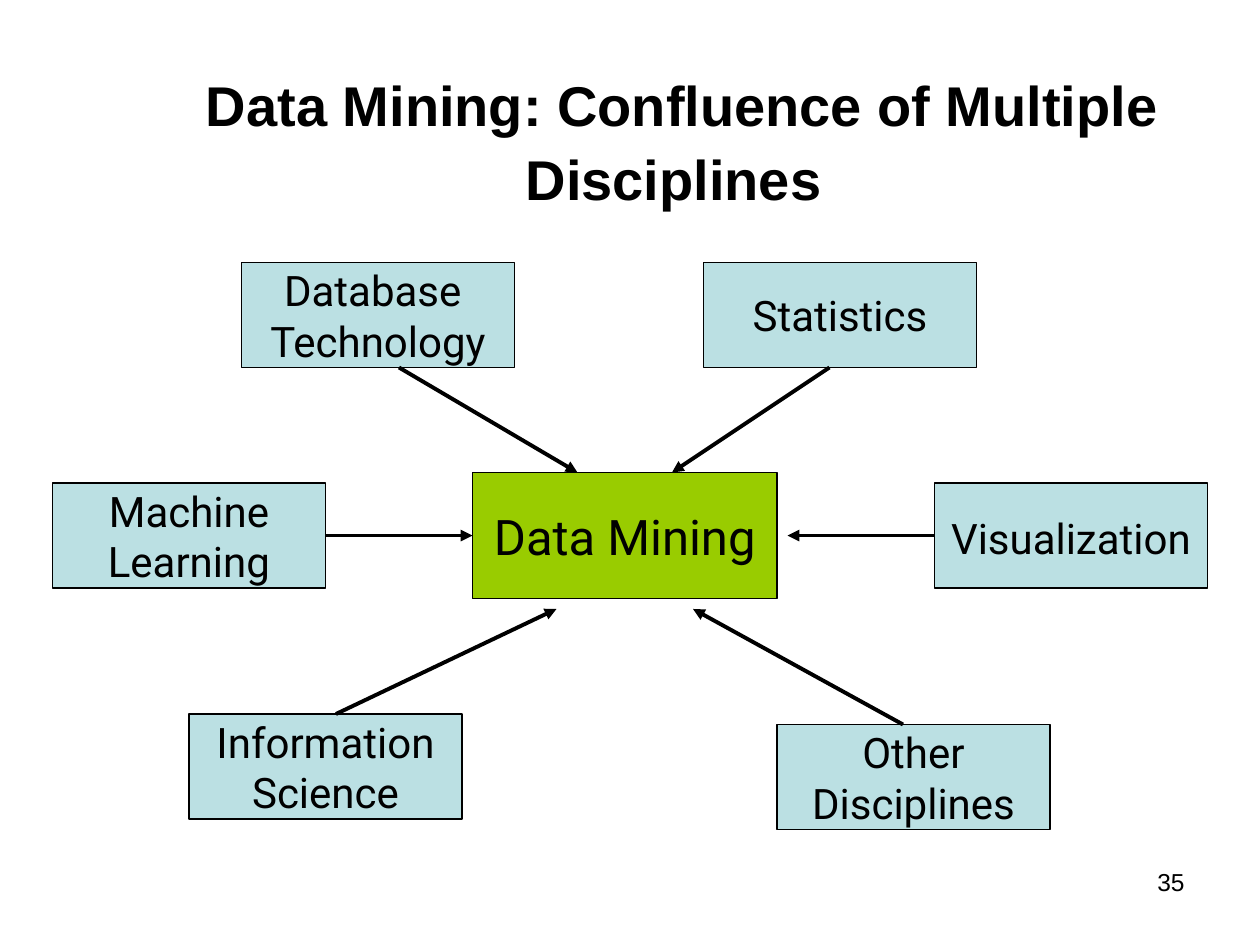
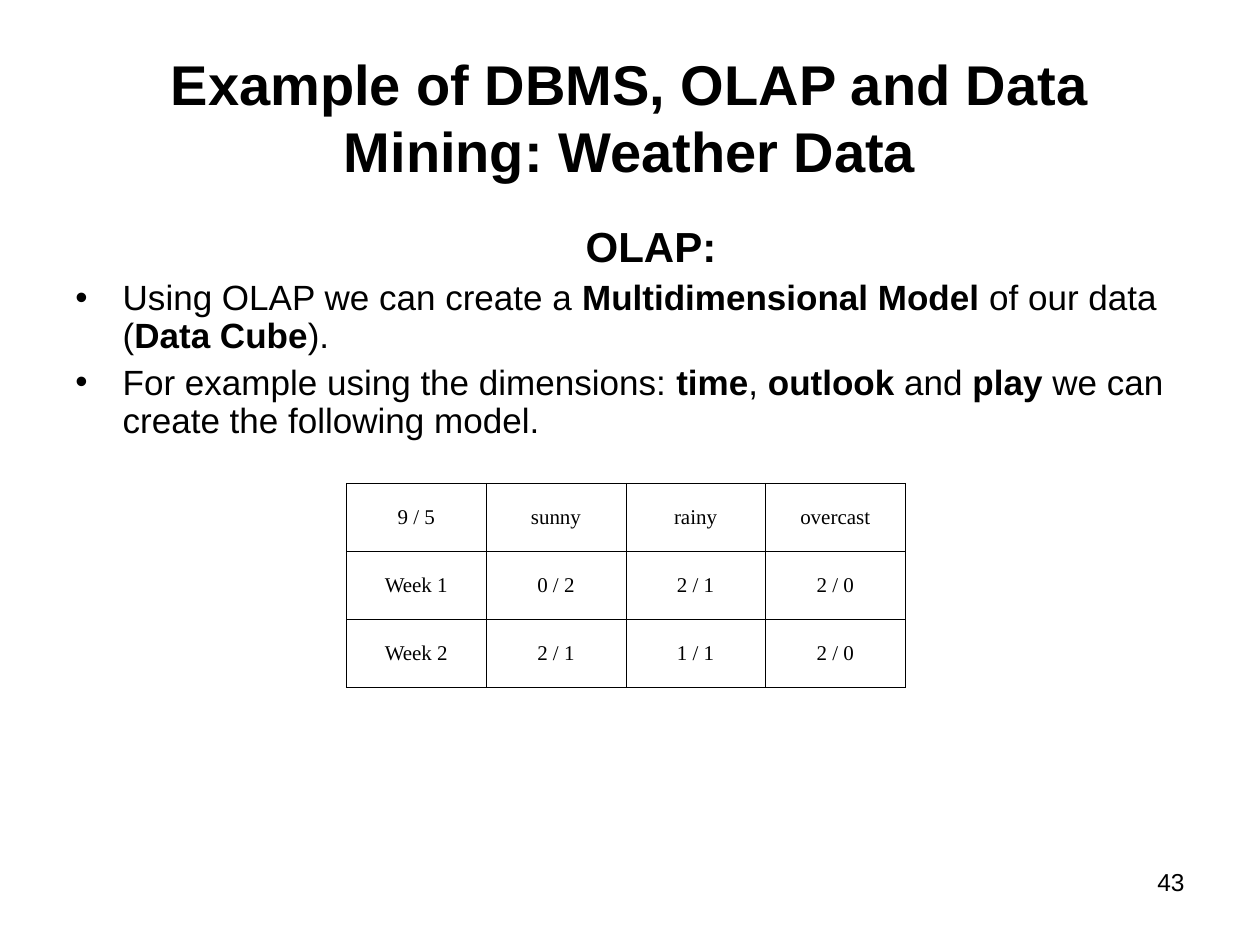
"""Build two slides on data mining: its source disciplines and an OLAP example."""
from lxml.etree import SubElement
from pptx import Presentation
from pptx.dml.color import RGBColor
from pptx.enum.shapes import MSO_CONNECTOR as Connector, MSO_SHAPE as Shape
from pptx.enum.text import MSO_ANCHOR as Anchor, PP_ALIGN as Align
from pptx.oxml.ns import qn
from pptx.util import Emu, Pt

EMU_PER_PX = 7620
SLIDE_SIZE = (1200, 900)
COLORS = {"ink": "000000", "hub": "99CC00", "discipline": "BBE0E3"}
SANS, LABEL, SERIF = "Arial", "Roboto", "Times New Roman"

PAGE_NUMBER_BOX = (860, 820, 280, 62)
HUB_BOX = (450, 450, 290, 120)
DISCIPLINE_SIZE = (260, 100)
DISCIPLINES = [
    (230, 250, ["Database ", "Technology"]),
    (670, 250, ["Statistics"]),
    (740, 690, ["Other", "Disciplines"]),
    (180, 680, ["Information", "Science"]),
    (50, 460, ["Machine", "Learning"]),
]
ARROWS = [
    (310, 510, 450, 510),
    (380, 350, 550, 450),
    (790, 350, 640, 450),
    (890, 510, 750, 510),
    (860, 690, 660, 580),
    (320, 680, 530, 580),
]
OLAP_POINTS = [
    ["Using OLAP we can create a ", "Multidimensional Model",
     " of our data (", "Data Cube", ")."],
    ["For example using the dimensions: ", "time", ", ", "outlook", " and ", "play",
     " we can create the following model."],
]
WEATHER = [
    ["9 / 5", "sunny", "rainy", "overcast"],
    ["Week 1", "0 / 2", "2 / 1", "2 / 0"],
    ["Week 2", "2 / 1", "1 / 1", "2 / 0"],
]


def px(*lengths):
    """Turn px lengths into EMU."""
    return [Emu(length * EMU_PER_PX) for length in lengths]


def rgb(name):
    """Look up a named colour."""
    return RGBColor.from_string(COLORS[name])


def add_span(para, text, size, font=SANS, bold=False):
    """Add one formatted run to a paragraph."""
    span = para.add_run()
    span.text = text
    span.font.size, span.font.name, span.font.bold = Pt(size), font, bold
    span.font.color.rgb = rgb("ink")


def add_text_box(page, box, anchor=Anchor.TOP):
    """Add a wrapping text box and return its frame."""
    frame = page.shapes.add_textbox(*px(*box)).text_frame
    frame.word_wrap = True
    frame.vertical_anchor = anchor
    return frame


def add_title(page, box, text):
    """Add a bold centred title and return its paragraph."""
    para = add_text_box(page, box, Anchor.MIDDLE).paragraphs[0]
    para.alignment = Align.CENTER
    add_span(para, text, 32, bold=True)
    return para


def add_page(deck, number):
    """Add a blank page with its number at the lower right."""
    page = deck.slides.add_slide(deck.slide_layouts[6])
    para = add_text_box(page, PAGE_NUMBER_BOX).paragraphs[0]
    para.alignment = Align.RIGHT
    add_span(para, str(number), 14)
    return page


def add_node(page, box, lines, fill, size):
    """Add a labelled diagram box and return its first paragraph."""
    node = page.shapes.add_shape(Shape.RECTANGLE, *px(*box))
    node.shadow.inherit = False
    node.fill.solid()
    node.fill.fore_color.rgb = rgb(fill)
    node.line.color.rgb = rgb("ink")
    node.line.width = Pt(0.75)
    frame = node.text_frame
    frame.word_wrap = False
    frame.vertical_anchor = Anchor.MIDDLE
    for index, line in enumerate(lines):
        para = frame.add_paragraph() if index else frame.paragraphs[0]
        para.alignment = Align.CENTER
        add_span(para, line, size, LABEL)
    return frame.paragraphs[0]


def add_arrow(page, ends):
    """Add a line with an arrowhead at its end."""
    arrow = page.shapes.add_connector(Connector.STRAIGHT, *px(*ends))
    arrow.line.color.rgb = rgb("ink")
    arrow.line.width = Pt(2.25)
    properties = arrow.element.spPr
    SubElement(properties.find(qn("a:ln")), qn("a:tailEnd"), type="triangle")
    SubElement(properties, qn("a:effectLst"))


def add_bullet(para, indent):
    """Give a paragraph a hanging round bullet."""
    properties = para._p.get_or_add_pPr()
    properties.set("marL", str(indent))
    properties.set("indent", str(-indent))
    SubElement(properties, qn("a:buFont"), typeface=SANS)
    SubElement(properties, qn("a:buChar"), char="•")


def add_olap_text(page, box):
    """Add the OLAP heading and its points, with every second run bold."""
    frame = add_text_box(page, box)
    heading = frame.paragraphs[0]
    heading.alignment = Align.CENTER
    heading.line_spacing, heading.space_before = 0.9, Pt(6)
    add_span(heading, "OLAP:", 24, bold=True)
    for point in OLAP_POINTS:
        para = frame.add_paragraph()
        para.line_spacing, para.space_before = 0.9, Pt(5)
        add_bullet(para, *px(45))
        for index, text in enumerate(point):
            add_span(para, text, 20, bold=index % 2 == 1)


def border_cell(cell):
    """Draw thin lines on all four sides of a cell."""
    properties = cell._tc.get_or_add_tcPr()
    for side in ("lnL", "lnR", "lnT", "lnB"):
        line = SubElement(properties, qn(f"a:{side}"), w=str(Pt(0.34)))
        fill = SubElement(line, qn("a:solidFill"))
        SubElement(fill, qn("a:srgbClr"), val=COLORS["ink"])


def add_weather_table(page, left, top, column_width, row_height):
    """Add the plain grid of weather counts."""
    rows, columns = len(WEATHER), len(WEATHER[0])
    box = px(left, top, column_width * columns, row_height * rows)
    table = page.shapes.add_table(rows, columns, *box).table
    table.first_row = table.horz_banding = False
    for row, values in enumerate(WEATHER):
        for column, value in enumerate(values):
            cell = table.cell(row, column)
            border_cell(cell)
            cell.fill.background()
            cell.vertical_anchor = Anchor.MIDDLE
            para = cell.text_frame.paragraphs[0]
            para.alignment = Align.CENTER
            add_span(para, value, 12, SERIF)


def add_disciplines_page(deck):
    """Add the diagram of disciplines feeding data mining."""
    page = add_page(deck, 35)
    title = add_title(page, (120, 70, 1060, 130),
                      "Data Mining: Confluence of Multiple Disciplines")
    add_span(title, " ", 36, bold=True)
    add_node(page, HUB_BOX, ["Data Mining"], "hub", 28)
    for left, top, lines in DISCIPLINES:
        add_node(page, (left, top, *DISCIPLINE_SIZE), lines, "discipline", 24)
    visualization = add_node(page, (890, 460, *DISCIPLINE_SIZE), ["Visualization"],
                             "discipline", 24)
    visualization.line_spacing, visualization.space_before = 1.1, Pt(6)
    for ends in ARROWS:
        add_arrow(page, ends)


def add_weather_page(deck):
    """Add the OLAP example on weather data."""
    page = add_page(deck, 43)
    add_title(page, (60, 36, 1080, 150),
              "Example of DBMS, OLAP and Data Mining: Weather Data")
    add_olap_text(page, (60, 210, 1120, 230))
    add_weather_table(page, 330, 460, 133, 65)


def main():
    """Build and save the deck."""
    deck = Presentation()
    deck.slide_width, deck.slide_height = px(*SLIDE_SIZE)
    add_disciplines_page(deck)
    add_weather_page(deck)
    deck.save("out.pptx")


if __name__ == "__main__":
    main()
